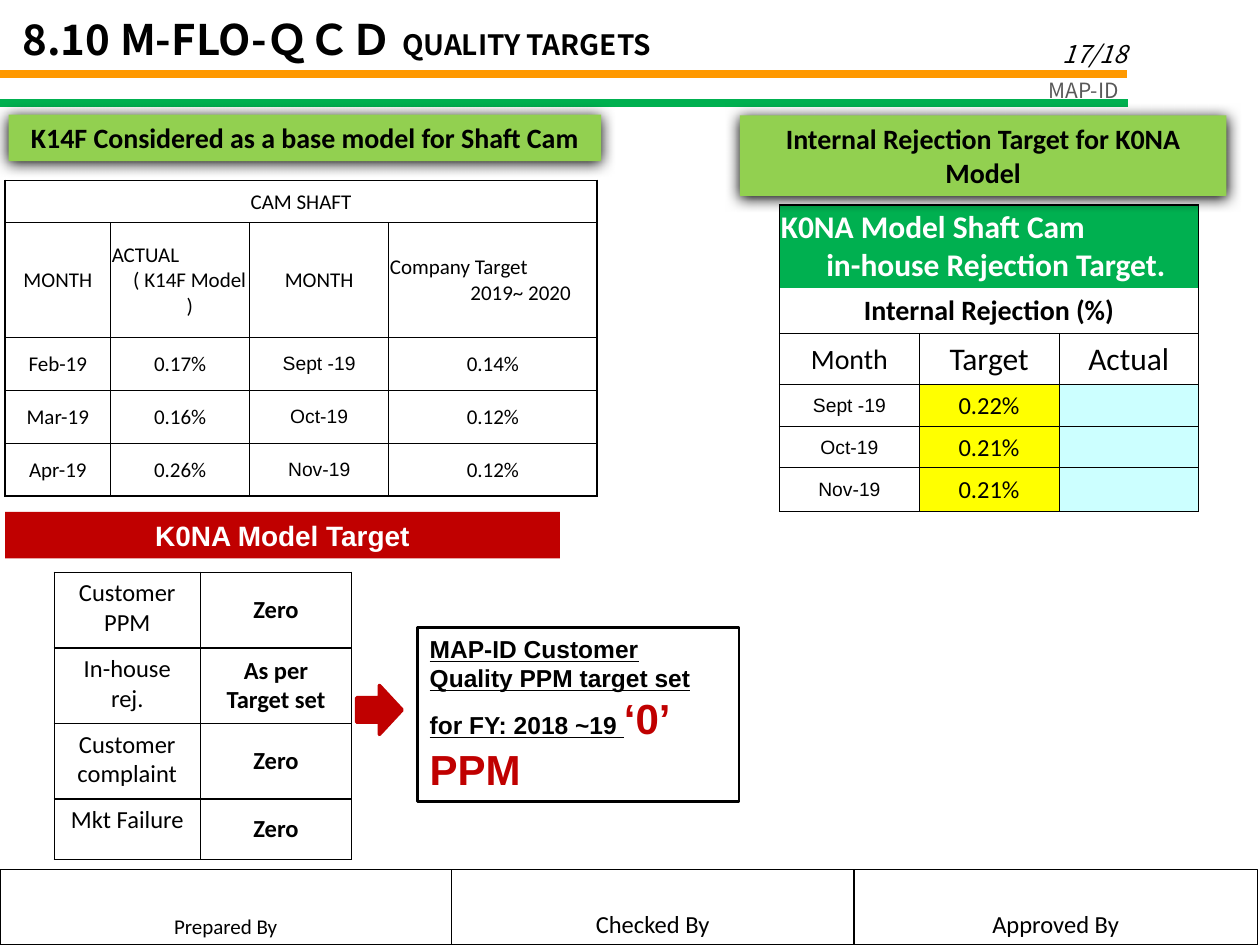
from dataclasses import dataclass
from typing import Optional

import lxml.etree
import pptx
import pptx.dml.color
import pptx.enum.shapes
import pptx.enum.text
import pptx.oxml
import pptx.oxml.ns
import pptx.util

Pt = pptx.util.Pt
Align = pptx.enum.text.PP_ALIGN
Anchor = pptx.enum.text.MSO_ANCHOR
Shape = pptx.enum.shapes.MSO_SHAPE
qn = pptx.oxml.ns.qn
HEADING_FONT = "Noto Sans CJK JP"


@dataclass
class Span:
    text: str
    size: float = 12
    font: str = "Calibri"
    color: str = "000000"
    bold: bool = False
    underline: bool = False
    italic: bool = False


@dataclass
class Line:
    spans: list[Span]
    align: Align = Align.CENTER
    indent: float = 0


@dataclass
class Cell:
    lines: list[Line]
    fill: Optional[str] = None
    columns: int = 1
    anchor: Anchor = Anchor.MIDDLE
    open_top: bool = False
    open_bottom: bool = False


@dataclass
class Box:
    left: float
    top: float
    width: float
    height: float
    lines: list[Line]
    fill: Optional[str] = None
    border: Optional[str] = None
    border_width: float = 0
    anchor: Anchor = Anchor.TOP
    shadow: bool = False
    shape: Shape = Shape.RECTANGLE


@dataclass
class Grid:
    left: float
    top: float
    columns: list[float]
    rows: list[float]
    cells: list[list[Cell]]
    outer: float
    inner: float
    bottom: float
    margins: tuple[float, float, float, float] = (0.7, 0.7, 0.7, 0)


def color_of(value: str) -> pptx.dml.color.RGBColor:
    return pptx.dml.color.RGBColor.from_string(value)


def set_fill(fill, value: Optional[str]) -> None:
    if value is None:
        fill.background()
    else:
        fill.solid()
        fill.fore_color.rgb = color_of(value)


def set_font(font, span: Span) -> None:
    font.name, font.size = span.font, Pt(span.size)
    font.bold, font.italic, font.underline = span.bold, span.italic, span.underline
    font.color.rgb = color_of(span.color)


def write(frame, lines: list[Line]) -> None:
    frame.word_wrap = True
    for index, line in enumerate(lines):
        para = frame.add_paragraph() if index else frame.paragraphs[0]
        para.alignment = line.align
        if line.indent:
            para._p.get_or_add_pPr().set("marL", str(Pt(line.indent)))
        if len(line.spans) == 1:
            set_font(para.font, line.spans[0])
        for span in line.spans:
            run = para.add_run()
            run.text = span.text
            if len(line.spans) > 1:
                set_font(run.font, span)


def draw_box(page, box: Box) -> None:
    shape = page.shapes.add_shape(box.shape, Pt(box.left), Pt(box.top), Pt(box.width), Pt(box.height))
    shape.shadow.inherit = False
    set_fill(shape.fill, box.fill)
    set_fill(shape.line.fill, box.border)
    if box.border:
        shape.line.width = Pt(box.border_width)
    if box.shadow:
        effects = shape._element.spPr.find(qn("a:effectLst"))
        outer = lxml.etree.SubElement(effects, qn("a:outerShdw"), blurRad=str(Pt(8.5)), dist=str(Pt(1)),
                                      dir="5400000", algn="ctr", rotWithShape="0")
        lxml.etree.SubElement(outer, qn("a:srgbClr"), val="000000")
    shape.text_frame.vertical_anchor = box.anchor
    write(shape.text_frame, box.lines)


def draw_text(page, left: float, top: float, width: float, height: float, line: Line, anchor=Anchor.TOP) -> None:
    frame = page.shapes.add_textbox(Pt(left), Pt(top), Pt(width), Pt(height)).text_frame
    frame.vertical_anchor = anchor
    write(frame, [line])


def draw_rule(page, right: float, top: float, color: str) -> None:
    rule = page.shapes.add_connector(pptx.enum.shapes.MSO_CONNECTOR.STRAIGHT, 0, Pt(top), Pt(right), Pt(top))
    rule.line.color.rgb = color_of(color)
    rule.line.width = Pt(4.5)
    lxml.etree.SubElement(rule._element.spPr, qn("a:effectLst"))


def set_border(cell, side: str, width: float) -> None:
    edge = lxml.etree.SubElement(cell._tc.get_or_add_tcPr(), qn(f"a:ln{side}"), w=str(Pt(width)))
    if width:
        fill = lxml.etree.SubElement(edge, qn("a:solidFill"))
        lxml.etree.SubElement(fill, qn("a:srgbClr"), val="000000")
    else:
        lxml.etree.SubElement(edge, qn("a:noFill"))


def draw_grid(page, grid: Grid) -> None:
    table = page.shapes.add_table(len(grid.rows), len(grid.columns), Pt(grid.left), Pt(grid.top),
                                  Pt(sum(grid.columns)), Pt(sum(grid.rows))).table
    table.first_row = table.horz_banding = False
    for column, width in zip(table.columns, grid.columns):
        column.width = Pt(width)
    for row, height in zip(table.rows, grid.rows):
        row.height = Pt(height)
    for row, contents in enumerate(grid.cells):
        for column, content in enumerate(contents):
            cell = table.cell(row, column)
            last = column + content.columns - 1
            if content.columns > 1:
                cell.merge(table.cell(row, last))
            top = grid.inner if row else grid.outer
            bottom = grid.bottom if row == len(grid.rows) - 1 else grid.inner
            set_border(cell, "L", grid.inner if column else grid.outer)
            set_border(cell, "R", grid.outer if last == len(grid.columns) - 1 else grid.inner)
            set_border(cell, "T", 0 if content.open_top else top)
            set_border(cell, "B", 0 if content.open_bottom else bottom)
            set_fill(cell.fill, content.fill)
            cell.margin_left, cell.margin_top, cell.margin_right, cell.margin_bottom = map(Pt, grid.margins)
            cell.vertical_anchor = content.anchor
            write(cell.text_frame, content.lines)


def plain(text: str, size: float = 12, font: str = "Calibri", bold: bool = False, **options) -> Cell:
    return Cell([Line([Span(text, size, font, bold=bold)])], **options)


def split(first: str, second: str, indent: float, align: Align, span: Optional[Span] = None, **options) -> Cell:
    style = span or Span("")
    spans = [Span(text, style.size, style.font, style.color, style.bold) for text in (first, second)]
    return Cell([Line([spans[0]], Align.LEFT), Line([spans[1]], align, indent)], **options)


def main() -> None:
    deck = pptx.Presentation()
    deck.slide_width, deck.slide_height = Pt(720), Pt(540)
    page = deck.slides.add_slide(deck.slide_layouts[6])

    draw_text(page, 501, 6.5, 150, 36, Line([Span("17/18", 14, HEADING_FONT, italic=True)], Align.RIGHT), Anchor.BOTTOM)
    draw_rule(page, 644, 42.5, "FF9900")
    draw_rule(page, 644.5, 59, "00B050")
    draw_text(page, 538.5, 40.5, 108, 21.6, Line([Span("MAP-ID", 12, HEADING_FONT, "595959")], Align.RIGHT))
    draw_text(page, 5.8, 4.3, 639, 36, Line([Span("8.10 M-FLO-ＱＣＤ ", 24, HEADING_FONT, bold=True),
                                             Span("QUALITY TARGETS", 16, HEADING_FONT, bold=True)], Align.LEFT))

    goals = [("Customer PPM", "Zero"), ("In-house rej.", "As per Target set"),
             ("Customer complaint", "Zero"), ("Mkt Failure", "Zero")]
    goal_cells = [[plain(name, 14, anchor=Anchor.TOP), plain(goal, 14, bold=True)] for name, goal in goals]
    draw_grid(page, Grid(31, 327, [83.5, 86.5], [43.2] * 3 + [34.6], goal_cells, 1, 1, 1, (7.2, 3.6, 7.2, 3.6)))

    heading = Span("", 18, color="FFFFFF", bold=True)
    rejection = [[split("K0NA Model Shaft Cam", "in-house Rejection Target.", 26, Align.LEFT, heading,
                        fill="00B050", columns=3, open_bottom=True)],
                 [plain("Internal Rejection (%)", 16, bold=True, columns=3, open_top=True)],
                 [plain("Month", 16), plain("Target", 18), plain("Actual", 18)]]
    for month, target in [("Sept -19", "0.22%"), ("Oct-19", "0.21%"), ("Nov-19", "0.21%")]:
        rejection.append([plain(month, 11, "Arial"), plain(target, 14, fill="FFFF00"), Cell([], "CCFFFF")])
    draw_grid(page, Grid(445.5, 117, [79.8] * 3, [47.5, 26, 29.3, 23.8, 23.8, 24.8], rejection, 1, 0.5, 0.5))

    history = [[plain("CAM SHAFT", columns=4)],
               [plain("MONTH"), split("ACTUAL", "( K14F Model )", 11, Align.CENTER),
                plain("MONTH"), split("Company Target", "2019~ 2020", 46, Align.LEFT)]]
    for month, actual, next_month, target in [("Feb-19", "0.17%", "Sept -19", "0.14%"),
                                              ("Mar-19", "0.16%", "Oct-19", "0.12%"),
                                              ("Apr-19", "0.26%", "Nov-19", "0.12%")]:
        history.append([plain(month), plain(actual), plain(next_month, 11, "Arial"), plain(target)])
    draw_grid(page, Grid(2.9, 103, [60.3, 79.5, 79.5, 119], [24.3, 65.3] + [30.3] * 3, history, 1, 0.5, 1))

    for left, top, width, height, text in [
            (422.8, 66, 278, 46, "Internal Rejection Target for K0NA Model"),
            (5, 65.5, 338.5, 26.6, "K14F Considered as a base model for Shaft Cam")]:
        draw_box(page, Box(left, top, width, height, [Line([Span(text, 16, bold=True)])], "92D050", shadow=True))

    model_target = Line([Span("K0NA Model Target", 16, "Arial", "FFFFFF", True)])
    customer_target = Line([Span("MAP-ID Customer Quality PPM target set for FY: 2018 ~19 ", 14, "Arial",
                                 bold=True, underline=True),
                            Span("‘0’ PPM", 24, "Arial", "C00000", True)], Align.LEFT)
    draw_box(page, Box(2.9, 292.5, 317, 26.6, [model_target], "C00000"))
    draw_box(page, Box(203.8, 391.7, 26, 28, [], "C00000", "C00000", 2, shape=Shape.RIGHT_ARROW))
    draw_box(page, Box(238.5, 358.7, 183.8, 99.4, [customer_target], border="000000", border_width=1.5))

    for left, width, text, size in [(0, 258, "Prepared By", 12), (258, 230, "Checked By", 14),
                                    (488, 230.5, "Approved By", 14)]:
        draw_box(page, Box(left, 497, width, 43, [Line([Span(text, size)])], border="000000", border_width=0.75,
                           anchor=Anchor.BOTTOM))

    deck.save("out.pptx")


if __name__ == "__main__":
    main()
